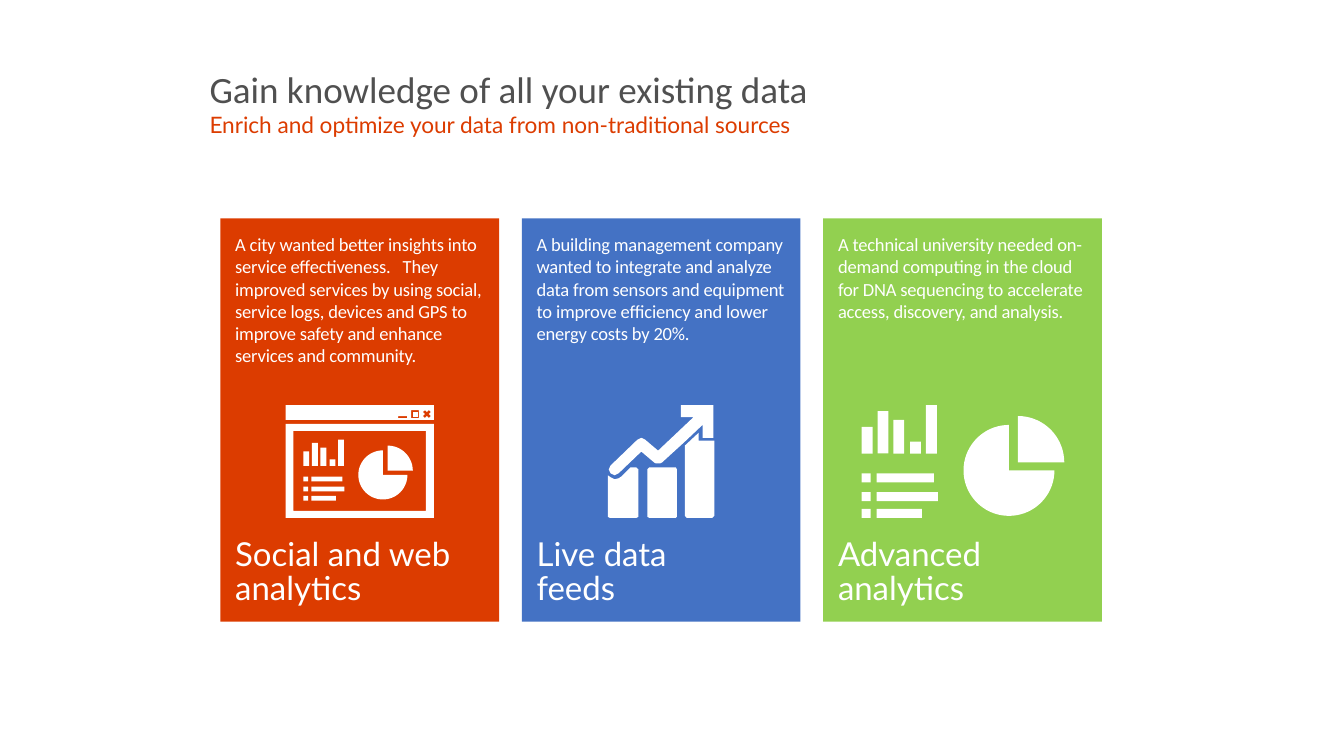
from math import cos, radians, sin

from pptx import Presentation
from pptx.dml.color import RGBColor
from pptx.enum.shapes import MSO_SHAPE
from pptx.enum.text import MSO_ANCHOR, MSO_AUTO_SIZE, PP_ALIGN
from pptx.util import Pt

RECT = MSO_SHAPE.RECTANGLE
TOP, BOTTOM = MSO_ANCHOR.TOP, MSO_ANCHOR.BOTTOM
LEFT = PP_ALIGN.LEFT
FIXED = MSO_AUTO_SIZE.NONE
PX = 9144  # 100 px to the inch
RED, BLUE, GREEN = "DC3C00", "4472C4", "92D050"
WHITE, GREY = "FFFFFF", "505050"


def paint(fill, tint):
    fill.solid()
    fill.fore_color.rgb = RGBColor.from_string(tint)


def write(shape, text, size, font="Calibri", tint=WHITE, anchor=TOP,
          pad=(15, 15), lead=1.0, track=0):
    """Append lines of text to the first paragraph of a shape."""
    frame = shape.text_frame
    frame.word_wrap = True
    frame.auto_size = FIXED
    frame.vertical_anchor = anchor
    frame.margin_left = frame.margin_right = pad[0] * PX
    frame.margin_top = frame.margin_bottom = pad[1] * PX
    para = frame.paragraphs[0]
    para.alignment = LEFT
    para.line_spacing = lead
    for line in text.split("\n"):
        if para.runs:
            para.add_line_break()
        run = para.add_run()
        run.text = line
        run.font.size = Pt(size)
        run.font.name = font
        paint(run.font.fill, tint)
        if track:
            run._r.get_or_add_rPr().set("spc", str(track))


deck = Presentation()
deck.slide_width, deck.slide_height = 1360 * PX, 765 * PX
slide = deck.slides.add_slide(deck.slide_layouts[5])
shapes = slide.shapes

title = shapes.title
title.left, title.top = 200 * PX, 60 * PX
title.width, title.height = 975 * PX, 78 * PX
write(title, "Gain knowledge of all your existing data", 27,
      tint=GREY, pad=(12, 7))
write(title, "Enrich and optimize your data from non-traditional sources",
      16.5, font="Lato", tint=RED, pad=(12, 7))

# Cards
cards = [
    (RED, "Social and web analytics",
     "A city wanted better insights into service effectiveness.   They "
     "improved services by using social, service logs, devices and GPS to "
     "improve safety and enhance services and community."),
    (BLUE, "Live data \nfeeds",
     "A building management company wanted to integrate and analyze data "
     "from sensors and equipment to improve efficiency and lower energy "
     "costs by 20%."),
    (GREEN, "Advanced analytics",
     "A technical university needed on-demand computing in the cloud for "
     "DNA sequencing to accelerate access, discovery, and analysis."),
]
forms = []
for i, (tint, name, story) in enumerate(cards):
    x = (223 + 305 * i) * PX
    card = shapes.add_shape(RECT, x, 221 * PX, 282 * PX, 408 * PX)
    write(card, story, 13.5, track=-10)
    forms.append((card, tint))
    label = shapes.add_textbox(x, 517 * PX, 282 * PX, 112 * PX)
    write(label, name, 24, font="Lato", anchor=BOTTOM, lead=0.85)

# Each icon outline is a list of contours; later contours cut holes
bar = [(289, 410), (439, 410), (439, 425), (289, 425)]
dash = [(403, 421), (412, 421), (412, 423), (403, 423)]
box = [(416, 415), (424, 415), (424, 423), (416, 423)]
pane = [(418, 417), (423, 417), (423, 422), (418, 422)]
cross = [(436, 421), (434, 423), (432, 421), (430, 423), (428, 421),
         (430, 419), (428, 417), (430, 415), (432, 417), (434, 415),
         (436, 417), (434, 419)]
frame = [(289, 429), (439, 429), (439, 524), (289, 524)]
screen = [(297, 436), (431, 436), (431, 517), (297, 517)]
low = [(638, 473), (629, 482), (626, 484), (622, 485), (618, 483),
       (615, 481), (615, 523), (617, 524), (644, 524), (646, 523),
       (646, 475), (644, 473)]
mid = [(657, 473), (655, 475), (655, 523), (657, 524), (684, 524),
       (685, 523), (685, 475), (684, 473)]
high = [(723, 446), (707, 446), (707, 438), (693, 451), (693, 522),
        (695, 524), (721, 524), (723, 522)]
arrow = [(662, 468), (664, 469), (668, 469), (670, 468), (693, 447),
         (711, 430), (711, 443), (722, 443), (722, 410), (689, 410),
         (689, 422), (702, 422), (666, 456), (653, 445), (649, 443),
         (645, 445), (618, 471), (616, 475), (618, 479), (622, 481),
         (626, 479), (649, 457)]
icons = [[bar, dash, box, cross], [pane], [frame, screen],
         [low], [mid], [high], [arrow]]

# Chart icon: columns, list rows and pie, drawn small and large
blocks = [(x, 49 - h, 11, h) for x, h in
          [(0, 27), (16, 43), (32, 34), (49, 12), (65, 49)]]
for y, wide in [(69, 58), (88, 62), (105, 46)]:
    blocks += [(0, y, 9, 9), (15, y, wide, 9)]
pies = [(149, 66, 46, 0, 270), (158, 58, 47, 270, 360)]

for left, top, zoom in [(307, 445, 0.54), (872, 410, 1)]:
    for x, y, wide, high in blocks:
        block = shapes.add_shape(
            RECT, int((left + x * zoom) * PX), int((top + y * zoom) * PX),
            int(wide * zoom * PX), int(high * zoom * PX))
        forms.append((block, WHITE))
    for x, y, r, start, end in pies:
        rim = [(x, y)] + [(x + r * cos(radians(a)), y + r * sin(radians(a)))
                          for a in range(start, end + 1, 5)]
        icons.append([[(left + u * zoom, top + v * zoom) for u, v in rim]])

for icon in icons:
    pen = None
    for ring in icon:
        dots = [(int(x * PX), int(y * PX)) for x, y in ring]
        if pen is None:
            pen = shapes.build_freeform(*dots[0], scale=1.0)
        else:
            pen.move_to(*dots[0])
        pen.add_line_segments(dots[1:], close=True)
    forms.append((pen.convert_to_shape(), WHITE))

for form, tint in forms:
    paint(form.fill, tint)
    form.line.fill.background()
    form.shadow.inherit = False

deck.save("out.pptx")
